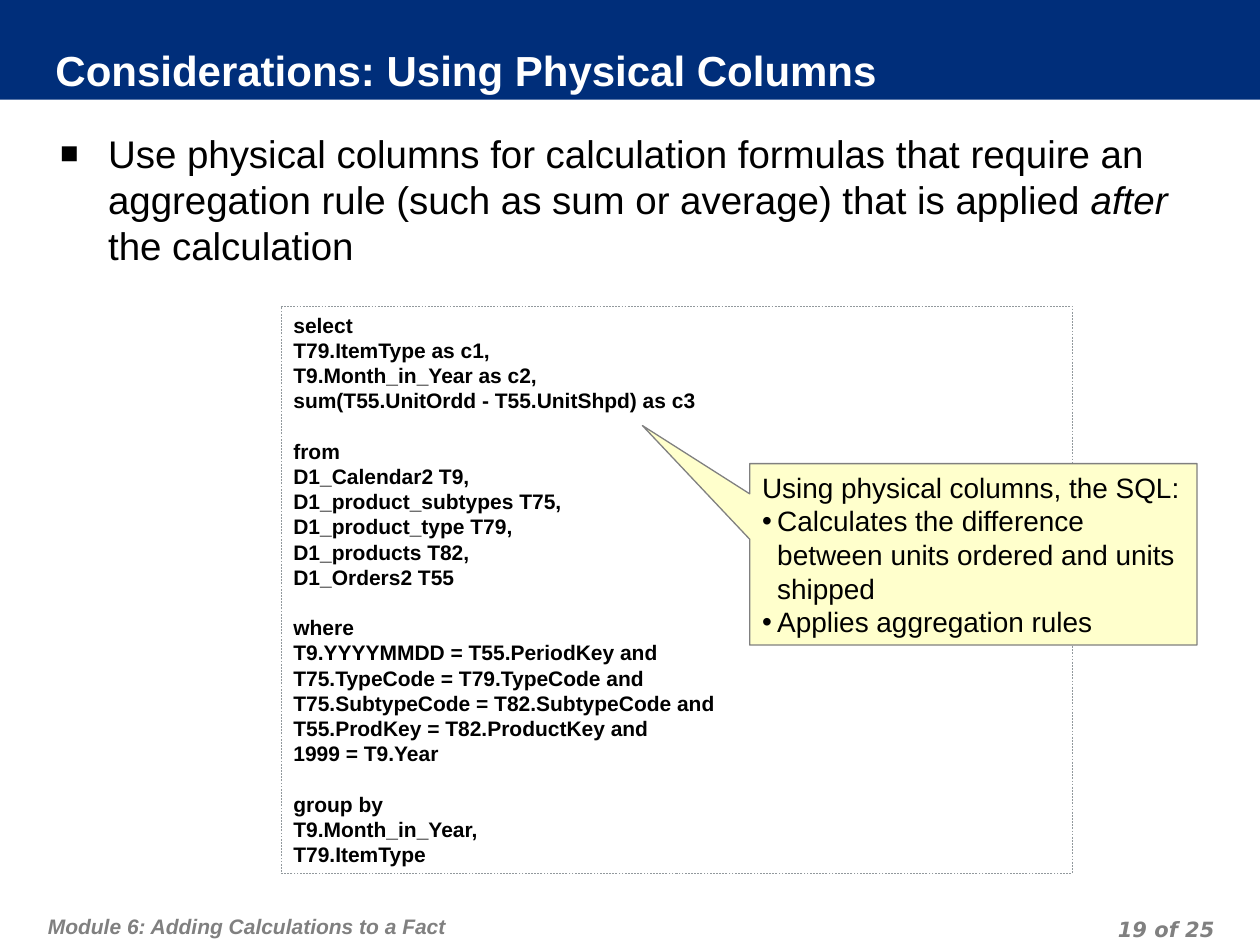
from dataclasses import dataclass

from lxml.etree import SubElement
from pptx import Presentation
from pptx.dml.color import RGBColor
from pptx.enum.dml import MSO_LINE
from pptx.enum.shapes import MSO_SHAPE
from pptx.enum.text import MSO_ANCHOR, MSO_AUTO_SIZE, PP_ALIGN
from pptx.oxml.ns import qn
from pptx.util import Inches, Pt


@dataclass(frozen=True)
class Theme:
    font: str = "Arial"
    page_font: str = "DejaVu Sans"
    navy: str = "002E7A"
    white: str = "FFFFFF"
    black: str = "000000"
    gray: str = "808080"
    edge: str = "92999D"
    cream: str = "FFFFCC"
    title: int = 24
    body: int = 22
    note: int = 16
    small: int = 12


QUERY = [
    ["select", "T79.ItemType as c1,", "T9.Month_in_Year as c2,",
     "sum(T55.UnitOrdd - T55.UnitShpd) as c3"],
    ["from", "D1_Calendar2 T9,", "D1_product_subtypes T75,",
     "D1_product_type T79,", "D1_products T82,", "D1_Orders2 T55"],
    ["where", "T9.YYYYMMDD = T55.PeriodKey and",
     "T75.TypeCode = T79.TypeCode and",
     "T75.SubtypeCode = T82.SubtypeCode and",
     "T55.ProdKey = T82.ProductKey and", "1999 = T9.Year"],
    ["group by", "T9.Month_in_Year,", "T79.ItemType"],
]


def color(code):
    return RGBColor.from_string(code)


class Deck:
    def __init__(self, theme):
        self.theme = theme
        self.file = Presentation()
        self.file.slide_width = Inches(10)
        self.file.slide_height = Inches(7.5)
        self.slide = self.file.slides.add_slide(self.file.slide_layouts[5])

    def style(self, para, size, tone, bold=False, italic=False, font=None):
        for run in para.runs:
            run.font.name = font or self.theme.font
            run.font.size = Pt(size)
            run.font.bold = bold
            run.font.italic = italic
            run.font.color.rgb = color(tone)

    def frame(self, shape, pads, anchor=MSO_ANCHOR.TOP):
        frame = shape.text_frame
        frame.word_wrap = True
        frame.auto_size = MSO_AUTO_SIZE.NONE
        frame.vertical_anchor = anchor
        (frame.margin_left, frame.margin_top,
         frame.margin_right, frame.margin_bottom) = map(Inches, pads)
        return frame

    def indent(self, para, depth, mark=None, scale=100):
        props = para._p.get_or_add_pPr()
        props.set("marL", str(Inches(depth)))
        props.set("indent", str(-Inches(depth)))
        if mark:
            tint = SubElement(props, qn("a:buClr"))
            SubElement(tint, qn("a:srgbClr"), val=self.theme.black)
            SubElement(props, qn("a:buSzPct"), val=str(scale * 1000))
            SubElement(props, qn("a:buFont"), typeface=self.theme.font)
            SubElement(props, qn("a:buChar"), char=mark)

    def shape(self, kind, box, fill, line=None, width=0):
        shape = self.slide.shapes.add_shape(kind, *map(Inches, box))
        shape.shadow.inherit = False
        shape.fill.solid()
        shape.fill.fore_color.rgb = color(fill)
        if line:
            shape.line.color.rgb = color(line)
            shape.line.width = Pt(width)
        else:
            shape.line.fill.background()
        return shape

    def band(self, box):
        band = self.shape(MSO_SHAPE.RECTANGLE, box, self.theme.navy)
        self.slide.shapes._spTree.insert(2, band._element)

    def title(self, text, box):
        title = self.slide.shapes.title
        title.left, title.top, title.width, title.height = map(Inches, box)
        title.fill.solid()
        title.fill.fore_color.rgb = color(self.theme.navy)
        frame = self.frame(title, (0.05, 0, 0.05, 0.05), MSO_ANCHOR.MIDDLE)
        frame.text = text
        para = frame.paragraphs[0]
        para.alignment = PP_ALIGN.LEFT
        self.style(para, self.theme.title, self.theme.white, bold=True)

    def footer(self, text, box, top, align, font):
        shape = self.slide.shapes.add_textbox(*map(Inches, box))
        frame = self.frame(shape, (0.05, top, 0.05, 0))
        frame.text = text
        para = frame.paragraphs[0]
        para.alignment = align
        para.line_spacing = Pt(18)
        self.style(para, self.theme.small, self.theme.gray, True, True, font)

    def point(self, parts, box):
        shape = self.slide.shapes.add_textbox(*map(Inches, box))
        para = self.frame(shape, (0.1, 0.1, 0.1, 0.05)).paragraphs[0]
        self.indent(para, 0.38, "■", 80)
        for text, _ in parts:
            para.add_run().text = text
        self.style(para, self.theme.body, self.theme.black)
        for run, (_, slant) in zip(para.runs, parts):
            run.font.italic = slant

    def code(self, groups, box):
        shape = self.shape(MSO_SHAPE.RECTANGLE, box, self.theme.white,
                           self.theme.edge, 0.25)
        shape.line.dash_style = MSO_LINE.DASH
        frame = self.frame(shape, (0.1, 0.05, 0.1, 0.05))
        frame.text = "\n".join(line for group in groups for line in group)
        heads = [group[0] for group in groups[1:]]
        for para in frame.paragraphs:
            para.alignment = PP_ALIGN.LEFT
            if para.text in heads:
                para.space_before = Pt(14.4)
            self.style(para, self.theme.small, self.theme.black, bold=True)

    def callout(self, head, items, box, tip):
        shape = self.shape(MSO_SHAPE.RECTANGULAR_CALLOUT, box,
                           self.theme.cream, self.theme.gray, 0.75)
        shape.adjustments[0], shape.adjustments[1] = tip
        frame = self.frame(shape, (0.1, 0.05, 0.1, 0.05), MSO_ANCHOR.MIDDLE)
        frame.text = "\n".join([head, *items])
        for spot, para in enumerate(frame.paragraphs):
            para.alignment = PP_ALIGN.LEFT
            self.indent(para, 0.12, "•" if spot else None)
            self.style(para, self.theme.note, self.theme.black)


def main():
    theme = Theme()
    deck = Deck(theme)
    deck.band((0, 0, 10, 0.79))
    deck.title("Considerations: Using Physical Columns",
               (0.39, 0.38, 7.87, 0.4))
    deck.footer("Module 6: Adding Calculations to a Fact",
                (0.33, 7.1, 6.18, 0.4), 0.1, PP_ALIGN.LEFT, theme.font)
    deck.footer("19 of 25", (7.36, 7.22, 2.33, 0.25), 0,
                PP_ALIGN.RIGHT, theme.page_font)
    deck.point([
        ("Use physical columns for calculation formulas that require an "
         "aggregation rule (such as sum or average) that is applied ", False),
        ("after", True),
        (" the calculation", False),
    ], (0.38, 0.93, 9.3, 6.18))
    deck.code(QUERY, (2.23, 2.43, 6.28, 4.5))
    deck.callout("Using physical columns, the SQL:", [
        "Calculates the difference between units ordered and units shipped",
        "Applies aggregation rules",
    ], (5.95, 3.68, 3.55, 1.44), (-0.74, -0.71))
    deck.file.save("out.pptx")


if __name__ == "__main__":
    main()
